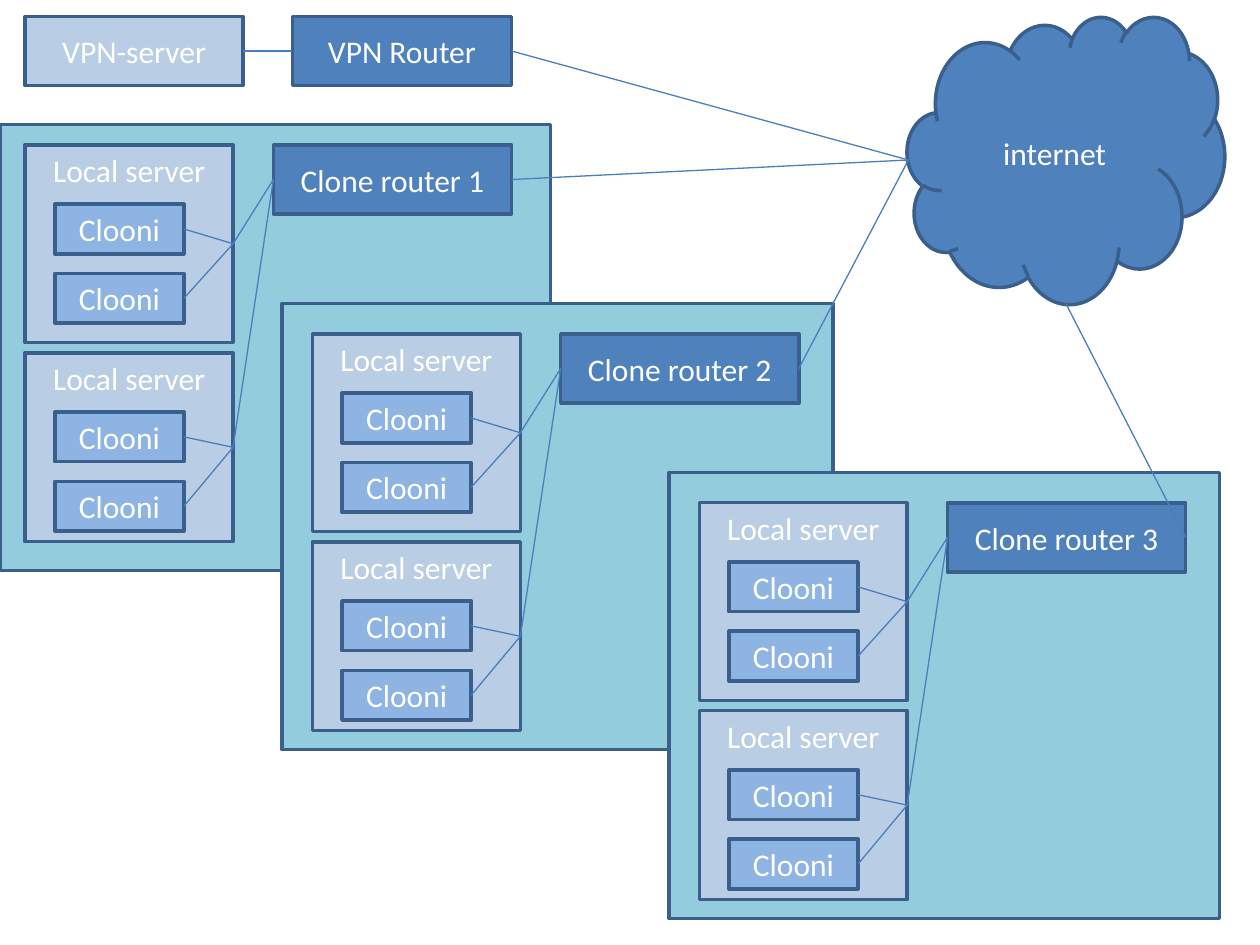
"""Build a network slide: three clone sites and a VPN pair joined to the internet."""
from dataclasses import dataclass

import pptx
import pptx.util
import pptx.dml.color
import pptx.enum.shapes
import pptx.enum.text
import pptx.oxml.ns
from lxml import etree

SHAPE = pptx.enum.shapes.MSO_SHAPE
ANCHOR = pptx.enum.text.MSO_ANCHOR
COLUMNS, ROWS = 100, 75
SLIDE_WIDTH, SLIDE_HEIGHT = pptx.util.Inches(10), pptx.util.Inches(7.5)
LEFT_SIDE, RIGHT_SIDE = 1, 3


@dataclass(frozen=True)
class Theme:
    site: str = "93CDDD"
    server: str = "B9CDE5"
    clone: str = "8EB4E3"
    router: str = "4F81BD"
    outline: str = "3A5F8C"
    link: str = "4B7EBC"
    label: str = "FFFFFF"
    font: str = "Calibri"
    label_size: float = 18
    outline_width: float = 2
    link_width: float = 0.75


THEME = Theme()


def col(count):
    return round(SLIDE_WIDTH * count / COLUMNS)


def row(count):
    return round(SLIDE_HEIGHT * count / ROWS)


def rgb(value):
    return pptx.dml.color.RGBColor.from_string(value)


def write(shape, text, size=THEME.label_size, color=THEME.label, anchor=ANCHOR.MIDDLE):
    frame = shape.text_frame
    frame.word_wrap = True
    frame.vertical_anchor = anchor
    paragraph = frame.paragraphs[0]
    paragraph.alignment = pptx.enum.text.PP_ALIGN.CENTER
    run = paragraph.add_run()
    run.text = text
    run.font.name = THEME.font
    run.font.size = pptx.util.Pt(size)
    run.font.color.rgb = rgb(color)


def box(shapes, x, y, width, height, fill, text=None, kind=SHAPE.RECTANGLE, **text_format):
    shape = shapes.add_shape(kind, col(x), row(y), col(width), row(height))
    shape.shadow.inherit = False
    shape.fill.solid()
    shape.fill.fore_color.rgb = rgb(fill)
    shape.line.color.rgb = rgb(THEME.outline)
    shape.line.width = pptx.util.Pt(THEME.outline_width)
    if text:
        write(shape, text, **text_format)
    return shape


def link(shapes, source, target=None, point=(0, 0)):
    x, y = col(point[0]), row(point[1])
    line = shapes.add_connector(pptx.enum.shapes.MSO_CONNECTOR.STRAIGHT, x, y, x, y)
    line.begin_connect(source, RIGHT_SIDE)
    if target is not None:
        line.end_connect(target, LEFT_SIDE)
    line.line.color.rgb = rgb(THEME.link)
    line.line.width = pptx.util.Pt(THEME.link_width)
    properties = line._element.spPr
    etree.SubElement(properties, pptx.oxml.ns.qn("a:effectLst"))


def local_server(shapes, x, y, height, router):
    server = box(shapes, x, y, 16.5, height, THEME.server, "Local server", anchor=ANCHOR.TOP)
    hub = (x + 16.5, y + height / 2)
    for offset in (4.7, 10.2):
        clone = box(shapes, x + 2.35, y + offset, 10.25, 3.95, THEME.clone, "Clooni")
        link(shapes, clone, point=hub)
    link(shapes, server, router)


def clone_site(shapes, x, y, name):
    group = shapes.add_group_shape().shapes
    router = box(group, x + 19.7, y, 18.9, 5.5, THEME.router, name)
    for offset, height in ((0, 15.7), (16.5, 15)):
        local_server(group, x, y + offset, height, router)
    return router


def main():
    deck = pptx.Presentation()
    deck.slide_width, deck.slide_height = SLIDE_WIDTH, SLIDE_HEIGHT
    shapes = deck.slides.add_slide(deck.slide_layouts[6]).shapes

    for x, y in ((0, 9.9), (22.4, 24.1), (53.1, 37.5)):
        box(shapes, x, y, 43.7, 35.4, THEME.site)

    vpn_server = box(shapes, 2, 1.3, 17.3, 5.5, THEME.server, "VPN-server")
    vpn_router = box(shapes, 23.2, 1.3, 17.4, 5.5, THEME.router, "VPN Router")
    link(shapes, vpn_server, vpn_router)
    box(shapes, 72, 1.3, 25.2, 22.8, THEME.router, "internet", kind=SHAPE.CLOUD)
    cloud_left, cloud_bottom = (72.1, 12.7), (84.6, 24.1)
    link(shapes, vpn_router, point=cloud_left)

    sites = ((2, 11.5, cloud_left), (24.8, 26.5, cloud_left), (55.5, 39.9, cloud_bottom))
    for number, (x, y, entry) in enumerate(sites, start=1):
        router = clone_site(shapes, x, y, f"Clone router {number}")
        link(shapes, router, point=entry)

    deck.save("out.pptx")


main()
